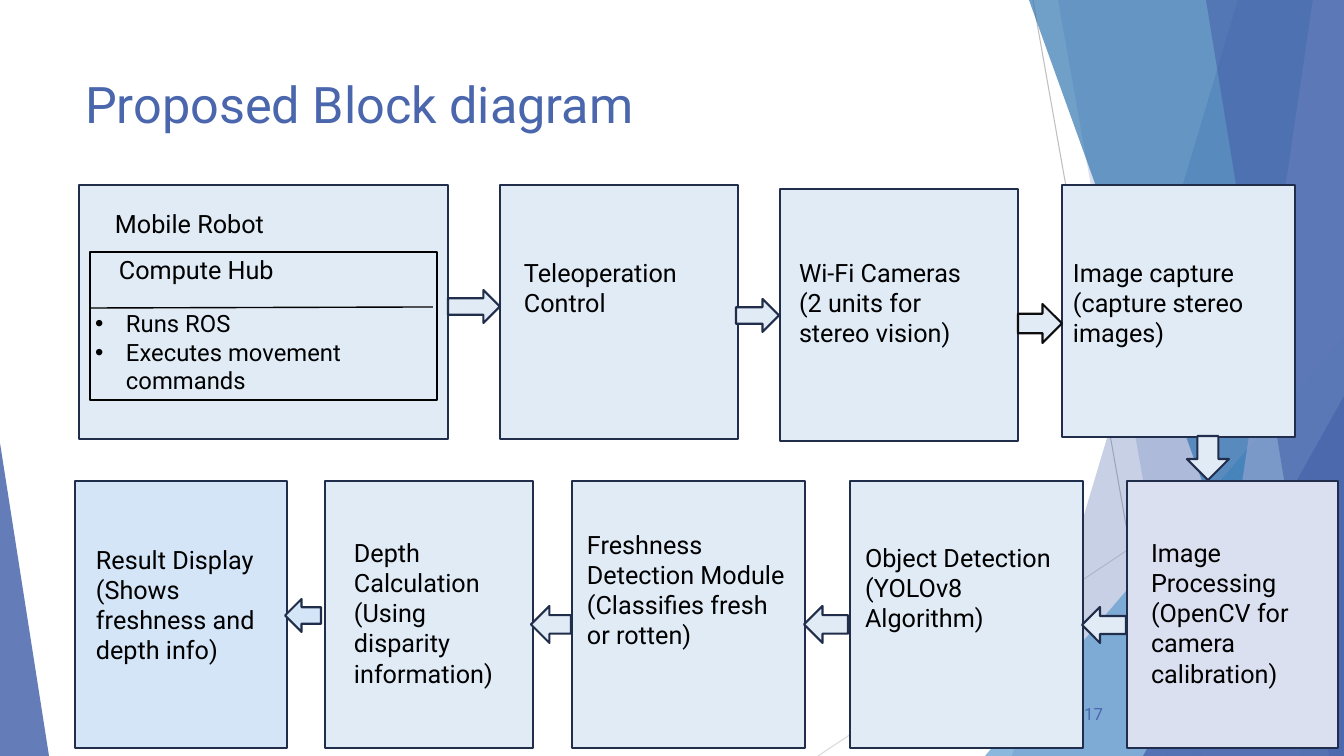
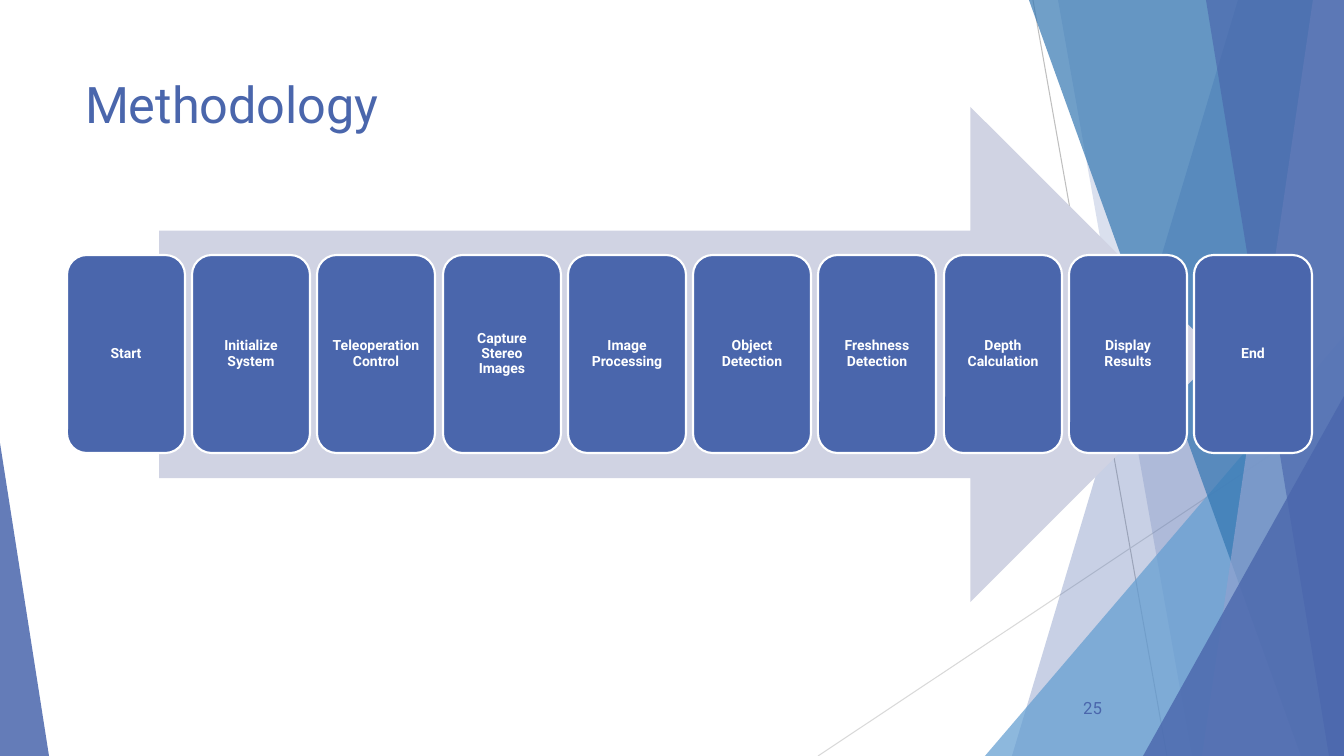
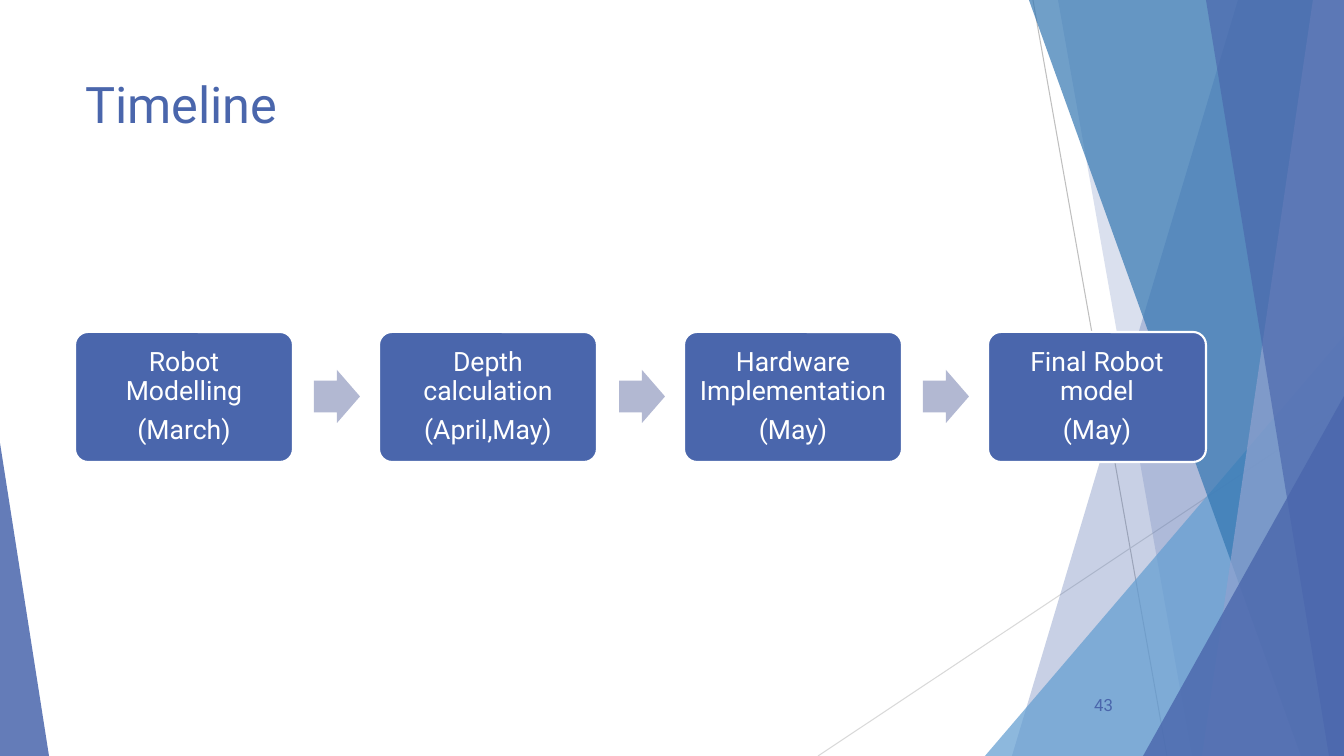
from lxml import etree
from pptx import Presentation
from pptx.dml.color import RGBColor
from pptx.enum.shapes import MSO_CONNECTOR, MSO_SHAPE, PP_PLACEHOLDER
from pptx.enum.text import MSO_ANCHOR, MSO_AUTO_SIZE, PP_ALIGN
from pptx.oxml.ns import qn
from pptx.util import Pt

WIDTH, HEIGHT = 1344, 756
PX = 12192000 / WIDTH
FONT = "Roboto"

BLUE = RGBColor(0x4A, 0x66, 0xAC)
SKY = RGBColor(0x62, 0x9D, 0xD1)
STEEL = RGBColor(0x34, 0x77, 0xB2)
LAVENDER = RGBColor(0x90, 0xA2, 0xCF)
NAVY = RGBColor(0x20, 0x2D, 0x4B)
BLACK = RGBColor(0, 0, 0)
NEAR_BLACK = RGBColor(0x0D, 0x0D, 0x0D)
WHITE = RGBColor(0xFF, 0xFF, 0xFF)
GREY = RGBColor(0xBF, 0xBF, 0xBF)
LIGHT_GREY = RGBColor(0xD9, 0xD9, 0xD9)
ICE = RGBColor(0xE0, 0xEB, 0xF6)
PALE_BLUE = RGBColor(0xD4, 0xE5, 0xF7)
PALE_VIOLET = RGBColor(0xDA, 0xE0, 0xEF)
MIST = RGBColor(0xD0, 0xD3, 0xE3)
HAZE = RGBColor(0xB2, 0xB8, 0xD2)

RECT = MSO_SHAPE.RECTANGLE
ROUNDED = MSO_SHAPE.ROUNDED_RECTANGLE
TRIANGLE = MSO_SHAPE.ISOSCELES_TRIANGLE
RIGHT_ARROW = MSO_SHAPE.RIGHT_ARROW
LEFT_ARROW = MSO_SHAPE.LEFT_ARROW
DOWN_ARROW = MSO_SHAPE.DOWN_ARROW
STRAIGHT = MSO_CONNECTOR.STRAIGHT
LEFT, CENTER, RIGHT = PP_ALIGN.LEFT, PP_ALIGN.CENTER, PP_ALIGN.RIGHT
TOP, MIDDLE = MSO_ANCHOR.TOP, MSO_ANCHOR.MIDDLE
KEPT_PLACEHOLDERS = (PP_PLACEHOLDER.TITLE, PP_PLACEHOLDER.OBJECT)


def px(length):
    return round(length * PX)


def place(shape, x, y, w, h):
    shape.left, shape.top, shape.width, shape.height = map(px, (x, y, w, h))


def spread(left, right, width, count):
    """Left edges of equal boxes with equal gaps between left and right."""
    step = (right - left - width) / (count - 1)
    return [left + round(i * step) for i in range(count)]


def write(frame, text, *, size, color=BLACK, bold=False, align=LEFT, anchor=TOP,
          insets=(10, 5, 10, 5), line=1.0, after=0, hang=0):
    """Fill a text frame; a newline starts a paragraph, hang is in px."""
    frame.text = text
    frame.word_wrap = True
    frame.auto_size = MSO_AUTO_SIZE.NONE
    frame.vertical_anchor = anchor
    (frame.margin_left, frame.margin_top,
     frame.margin_right, frame.margin_bottom) = map(px, insets)
    for paragraph in frame.paragraphs:
        paragraph.alignment = align
        paragraph.line_spacing = line
        paragraph.space_before = Pt(0)
        paragraph.space_after = Pt(after)
        if hang:
            properties = paragraph._p.get_or_add_pPr()
            properties.set("marL", str(px(hang)))
            properties.set("indent", str(-px(hang)))
        for run in paragraph.runs:
            run.font.name = FONT
            run.font.size = Pt(size)
            run.font.bold = bold
            run.font.color.rgb = color


class Deck:
    def __init__(self):
        self.prs = Presentation()
        self.prs.slide_width, self.prs.slide_height = px(WIDTH), px(HEIGHT)
        self.layout = self.prs.slide_layouts[1]
        for holder in list(self.layout.placeholders):
            if holder.placeholder_format.type not in KEPT_PLACEHOLDERS:
                holder.element.getparent().remove(holder.element)
        self.slide = None

    def new_slide(self, title, bullets=None):
        first = self.slide is None
        self.slide = self.prs.slides.add_slide(self.layout)
        if first:
            self.backdrop()
        heading = self.slide.shapes.title
        place(heading, 75, 68, 948, 145)
        write(heading.text_frame, title, size=36, color=BLUE)
        if not bullets:
            body = self.slide.placeholders[1].element
            body.getparent().remove(body)

    def backdrop(self):
        """Draw the shared facets and hand them over to the layout."""
        before = set(self.slide.shapes.element)
        self.line(1033, 0, 1167, HEIGHT, GREY, 0.75)
        self.line(WIDTH, 406, 818, HEIGHT, LIGHT_GREY, 0.75)
        self.facet(1238, 1012, BLUE, 30)
        self.facet(1058, 1192, BLUE, 20)
        self.shape(TRIANGLE, 985, 336, 359, 420, SKY, alpha=72, adjust=[1])
        self.facet(1029, 1301, STEEL, 70)
        self.facet(1313, 1202, LAVENDER, 70)
        self.facet(1206, 1329, BLUE, 65)
        self.shape(TRIANGLE, 1143, 396, 201, 360, BLUE, alpha=80, adjust=[1])
        self.shape(TRIANGLE, 0, 443, 49, 313, BLUE, alpha=85, adjust=[0])
        for element in list(self.slide.shapes.element):
            if element not in before:
                self.layout.shapes.element.append(element)

    def facet(self, top_x, bottom_x, color, alpha):
        """Area from a slanted left edge to the right side of the slide."""
        builder = self.slide.shapes.build_freeform(top_x, 0, scale=PX)
        builder.add_line_segments(
            [(WIDTH, 0), (WIDTH, HEIGHT), (bottom_x, HEIGHT)], close=True)
        self.paint(builder.convert_to_shape(), color, alpha=alpha)

    def paint(self, shape, fill, outline=None, weight=1.5, alpha=None):
        shape.shadow.inherit = False
        shape.fill.solid()
        shape.fill.fore_color.rgb = fill
        if alpha is not None:
            color = next(shape.element.spPr.iter(qn("a:srgbClr")))
            etree.SubElement(color, qn("a:alpha"), val=str(alpha * 1000))
        if outline is None:
            shape.line.fill.background()
        else:
            shape.line.color.rgb = outline
            shape.line.width = Pt(weight)

    def shape(self, preset, x, y, w, h, fill, outline=None, weight=1.5,
              alpha=None, adjust=()):
        shape = self.slide.shapes.add_shape(preset, *map(px, (x, y, w, h)))
        for i, value in enumerate(adjust):
            shape.adjustments[i] = value
        self.paint(shape, fill, outline, weight, alpha)
        return shape

    def line(self, x1, y1, x2, y2, color, weight):
        line = self.slide.shapes.add_connector(
            STRAIGHT, *map(px, (x1, y1, x2, y2)))
        line.line.color.rgb = color
        line.line.width = Pt(weight)
        etree.SubElement(line.element.spPr, qn("a:effectLst"))

    def bullets(self, text, x, y, w, h, **style):
        """Place the body placeholder in front of what is drawn so far."""
        body = self.slide.placeholders[1]
        self.slide.shapes.element.append(body.element)
        place(body, x, y, w, h)
        write(body.text_frame, text, **style)

    def number(self, text, x, y):
        box = self.slide.shapes.add_textbox(*map(px, (x, y, 76, 40)))
        write(box.text_frame, text, size=12, color=BLUE, align=RIGHT,
              anchor=MIDDLE)


def block_diagram(deck):
    deck.new_slide("Proposed Block diagram", bullets=True)
    # x, y, width, height, fill, text, then left, top and right inset
    blocks = [
        (79, 185, 369, 254, ICE, "Mobile Robot", 36, 23, 10),
        (500, 185, 238, 254, ICE, "Teleoperation Control", 24, 72, 34),
        (780, 189, 238, 252, ICE,
         "Wi-Fi Cameras (2 units for stereo vision)", 19, 68, 33),
        (1062, 185, 233, 252, ICE,
         "Image capture\v(capture stereo images)", 11, 72, 18),
        (1127, 481, 211, 267, PALE_VIOLET,
         "Image Processing (OpenCV for camera calibration)", 24, 56, 5),
        (850, 481, 233, 267, ICE,
         "Object Detection (YOLOv8 Algorithm)", 15, 61, 20),
        (572, 481, 233, 267, ICE,
         "Freshness Detection Module (Classifies fresh or rotten)", 15, 48, 16),
        (325, 481, 208, 267, ICE,
         "Depth Calculation (Using disparity information)", 29, 56, 26),
        (75, 481, 212, 267, PALE_BLUE,
         "Result Display (Shows freshness and depth info)", 21, 63, 12),
    ]
    for x, y, w, h, fill, text, left, top, right in blocks:
        block = deck.shape(RECT, x, y, w, h, fill, NAVY)
        write(block.text_frame, text, size=18, insets=(left, top, right, 0))

    controller = deck.shape(RECT, 90, 252, 347, 148, ICE, BLACK, 2)
    write(controller.text_frame, "Compute Hub", size=18, insets=(29, 2, 10, 0))
    deck.bullets("Runs ROS\nExecutes movement commands", 85, 304, 364, 97,
                 size=17, hang=31)

    arrows = [
        (RIGHT_ARROW, 448, 290, 52, 33, ICE, NAVY),
        (RIGHT_ARROW, 736, 299, 43, 33, ICE, NAVY),
        (RIGHT_ARROW, 1018, 304, 44, 39, ICE, NEAR_BLACK),
        (DOWN_ARROW, 1187, 436, 42, 44, ICE, NAVY),
        (LEFT_ARROW, 1082, 607, 44, 36, ICE, NAVY),
        (LEFT_ARROW, 804, 606, 44, 37, ICE, NAVY),
        (LEFT_ARROW, 531, 606, 40, 37, ICE, NAVY),
        (LEFT_ARROW, 285, 599, 36, 33, PALE_BLUE, NAVY),
    ]
    for arrow in arrows:
        deck.shape(*arrow)
    deck.number("17", 1037, 694)
    deck.line(90, 308, 433, 307, BLACK, 1)


def methodology(deck):
    deck.new_slide("Methodology")
    deck.shape(RIGHT_ARROW, 159, 107, 1059, 495, MIST)
    steps = ["Start", "Initialize System", "Teleoperation Control",
             "Capture Stereo Images", "Image Processing", "Object Detection",
             "Freshness Detection", "Depth Calculation", "Display Results",
             "End"]
    for x, step in zip(spread(67, 1312, 118, len(steps)), steps):
        card = deck.shape(ROUNDED, x, 255, 118, 198, BLUE, WHITE)
        write(card.text_frame, step, size=10, color=WHITE, bold=True,
              align=CENTER, anchor=MIDDLE, insets=(8, 8, 8, 8), line=0.9)
    deck.number("25", 1036, 688)


def timeline(deck):
    deck.new_slide("Timeline")
    stages = ["Robot Modelling\n(March)", "Depth calculation\n(April,May)",
              "Hardware Implementation\n(May)", "Final Robot model\n(May)"]
    for i, x in enumerate(spread(75, 1206, 218, len(stages))):
        if i:
            deck.shape(RIGHT_ARROW, x - 65, 370, 46, 53, HAZE,
                       adjust=[0.6, 0.5])
        card = deck.shape(ROUNDED, x, 332, 218, 130, BLUE, WHITE, adjust=[0.1])
        write(card.text_frame, stages[i], size=19, color=WHITE, align=CENTER,
              anchor=MIDDLE, insets=(10, 10, 10, 10), line=0.9, after=7)
    deck.number("43", 1047, 685)


def main():
    deck = Deck()
    block_diagram(deck)
    methodology(deck)
    timeline(deck)
    deck.prs.save("out.pptx")


if __name__ == "__main__":
    main()
